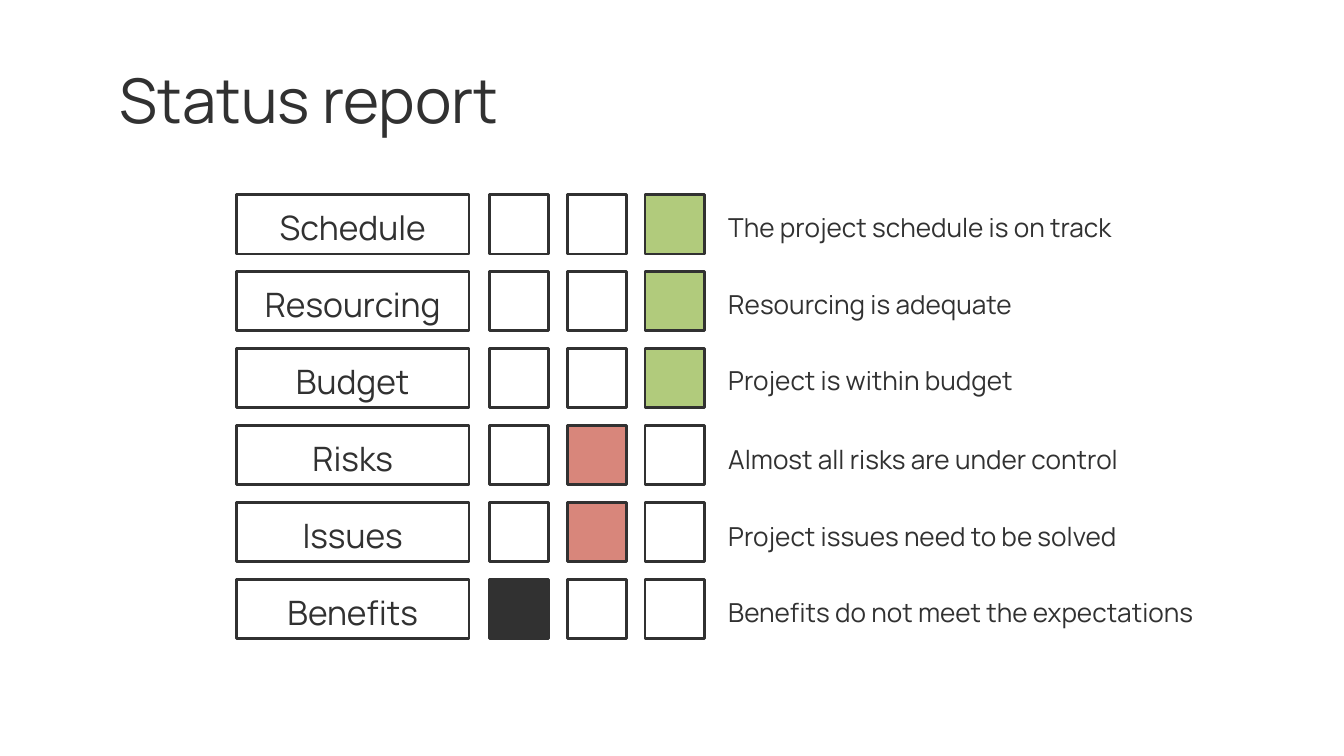
from dataclasses import dataclass
from typing import Optional

from pptx import Presentation
from pptx.dml.color import RGBColor
from pptx.enum.shapes import MSO_SHAPE
from pptx.enum.text import MSO_ANCHOR, MSO_AUTO_SIZE, PP_ALIGN
from pptx.shapes.autoshape import Shape
from pptx.slide import Slide
from pptx.util import Inches, Pt

INK = RGBColor(0x31, 0x31, 0x31)
GREEN = RGBColor(0xB1, 0xCB, 0x7C)
RED = RGBColor(0xD8, 0x86, 0x7B)
FONT = "Manrope"

FIRST_TOP, LAST_TOP = 1.45, 4.31
BOX_HEIGHT = 0.44
LABEL_LEFT, LABEL_WIDTH = 1.76, 1.73
LIGHTS_LEFT, LIGHT_PITCH = 3.64, 0.58
COMMENT_LEFT, COMMENT_WIDTH = 5.32, 3.89


@dataclass(frozen=True)
class Status:
    label: str
    comment: str
    light: int
    comment_drop: float = 0


LIGHT_COLORS = (INK, RED, GREEN)
STATUSES = (
    Status("Schedule", "The project schedule is on track", 2),
    Status("Resourcing", "Resourcing is adequate", 2),
    Status("Budget", "Project is within budget", 2),
    Status("Risks", "Almost all risks are under control", 1, 0.01),
    Status("Issues", "Project issues need to be solved", 1, 0.01),
    Status("Benefits", "Benefits do not meet the expectations", 0, 0.01),
)


def write(shape: Shape, text: str, size: int, align: PP_ALIGN, spacing: float) -> None:
    frame = shape.text_frame
    frame.word_wrap = True
    frame.auto_size = MSO_AUTO_SIZE.NONE
    frame.vertical_anchor = MSO_ANCHOR.MIDDLE
    frame.margin_left = frame.margin_right = Inches(0.1)
    frame.margin_top = frame.margin_bottom = Inches(0.1)
    paragraph = frame.paragraphs[0]
    paragraph.alignment = align
    paragraph.line_spacing = spacing
    run = paragraph.add_run()
    run.text = text
    run.font.name = FONT
    run.font.size = Pt(size)
    run.font.color.rgb = INK


def add_box(slide: Slide, left: float, top: float, width: float,
            fill: Optional[RGBColor] = None) -> Shape:
    box = slide.shapes.add_shape(MSO_SHAPE.RECTANGLE, Inches(left), Inches(top),
                                 Inches(width), Inches(BOX_HEIGHT))
    box.shadow.inherit = False
    if fill is None:
        box.fill.background()
    else:
        box.fill.solid()
        box.fill.fore_color.rgb = fill
    box.line.color.rgb = INK
    box.line.width = Pt(1.5)
    return box


def add_status(slide: Slide, status: Status, top: float) -> None:
    label = add_box(slide, LABEL_LEFT, top, LABEL_WIDTH)
    write(label, status.label, 18, PP_ALIGN.CENTER, 1.15)
    for index, color in enumerate(LIGHT_COLORS):
        add_box(slide, LIGHTS_LEFT + index * LIGHT_PITCH, top, BOX_HEIGHT,
                color if index == status.light else None)
    comment = slide.shapes.add_textbox(Inches(COMMENT_LEFT),
                                       Inches(top + status.comment_drop),
                                       Inches(COMMENT_WIDTH), Inches(BOX_HEIGHT))
    write(comment, status.comment, 14, PP_ALIGN.LEFT, 1.15)


def main() -> None:
    presentation = Presentation()
    presentation.slide_width = Inches(10)
    presentation.slide_height = Inches(10 * 9 / 16)
    slide = presentation.slides.add_slide(presentation.slide_layouts[5])

    title = slide.shapes.title
    title.left, title.top = Inches(0.79), Inches(0.42)
    title.width, title.height = Inches(6.94), Inches(0.63)
    write(title, "Status report", 33, PP_ALIGN.LEFT, 1.0)

    row_pitch = (LAST_TOP - FIRST_TOP) / (len(STATUSES) - 1)
    for row, status in enumerate(STATUSES):
        add_status(slide, status, FIRST_TOP + row * row_pitch)

    presentation.save("out.pptx")


if __name__ == "__main__":
    main()
